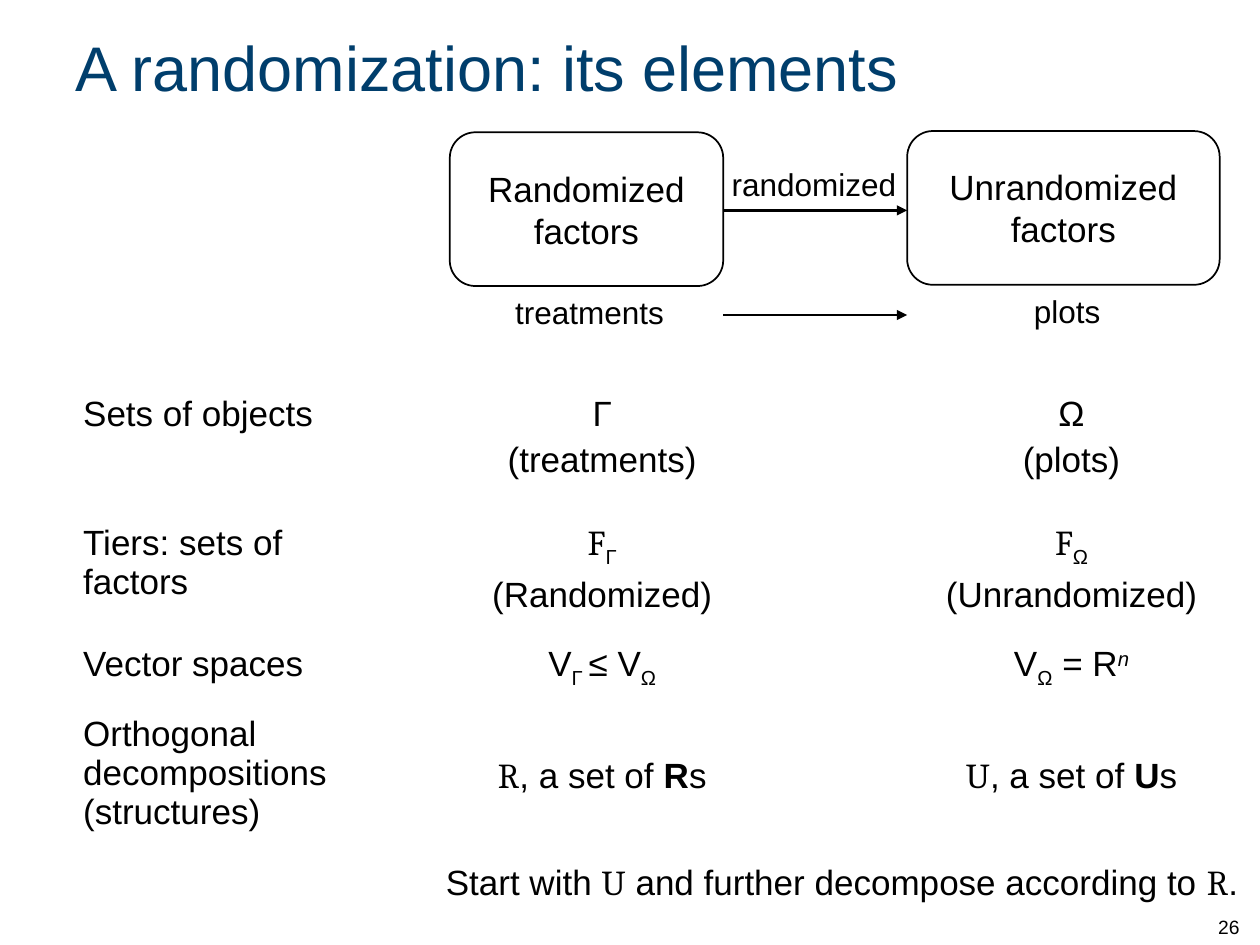
from lxml import etree
from pptx import Presentation
from pptx.dml.color import RGBColor
from pptx.enum.shapes import MSO_CONNECTOR, MSO_SHAPE
from pptx.enum.text import MSO_ANCHOR, PP_ALIGN
from pptx.oxml.ns import qn
from pptx.util import Emu, Pt

LEFT, CENTER = PP_ALIGN.LEFT, PP_ALIGN.CENTER
TOP, MIDDLE, BOTTOM = MSO_ANCHOR.TOP, MSO_ANCHOR.MIDDLE, MSO_ANCHOR.BOTTOM
ROUNDED, STRAIGHT = MSO_SHAPE.ROUNDED_RECTANGLE, MSO_CONNECTOR.STRAIGHT
BLACK = RGBColor(0x00, 0x00, 0x00)
NAVY = RGBColor(0x00, 0x3E, 0x6C)
PX = 9144
BODY_FONT, SYMBOL_FONT = "Arial", "Cambria"

TITLE = "A randomization: its elements"
FACTOR_BOXES = [
    ("Randomized\vfactors", (357, 105, 217, 122)),
    ("Unrandomized\vfactors", (720, 104, 248, 122)),
]
ARROWS = [(574, 720, 167), (574, 720, 250)]
LABELS = [
    ("randomized", (531, 126, 230, 40)),
    ("treatments", (353, 228, 230, 40)),
    ("plots", (732, 227, 230, 40)),
]
COLUMN_WIDTHS = [269, 306, 70, 299]
TABLE_LEFT = 56
ELEMENTS = [
    (308, 94, TOP, "Sets of objects",
     [[("Γ", "")], [("(treatments)", "")]],
     [[("Ω", "")], [("(plots)", "")]]),
    (411, 92, TOP, "Tiers: sets of factors",
     [[("F", "symbol"), ("Γ", "sub")], [("(Randomized)", "")]],
     [[("F", "symbol"), ("Ω", "sub")], [("(Unrandomized)", "")]]),
    (507, 59, TOP, "Vector spaces",
     [[("V", ""), ("Γ ", "sub"), ("≤ V", ""), ("Ω", "sub")]],
     [[("V", ""), ("Ω", "sub"), (" = R", ""), ("n", "power")]]),
    (562, 110, MIDDLE, "Orthogonal decompositions\v(structures)",
     [[("R", "symbol"), (", a set of ", ""), ("R", "bold"), ("s", "")]],
     [[("U", "symbol"), (", a set of ", ""), ("U", "bold"), ("s", "")]]),
]
CONCLUSION = [("Start with ", ""), ("U", "symbol"),
              (" and further decompose according to ", ""), ("R", "symbol"), (".", "")]
BASELINES = {"sub": "-25000", "power": "30000"}


def px(*lengths):
    return [Emu(length * PX) for length in lengths]


def style_font(font, size, color=BLACK, name=BODY_FONT):
    font.size, font.name = Pt(size), name
    font.color.rgb = color


def write(frame, paragraphs, size, align=LEFT):
    for index, pieces in enumerate(paragraphs):
        paragraph = frame.add_paragraph() if index else frame.paragraphs[0]
        paragraph.alignment = align
        if index:
            paragraph.space_before = Pt(4)
        for text, style in pieces:
            run = paragraph.add_run()
            run.text = text
            style_font(run.font, size,
                       name=SYMBOL_FONT if style == "symbol" else BODY_FONT)
            run.font.bold = style == "bold"
            run.font.italic = style == "power"
            if style in BASELINES:
                run._r.get_or_add_rPr().set("baseline", BASELINES[style])


def write_plain(frame, text, size, align=LEFT, color=BLACK):
    frame.text = text
    paragraph = frame.paragraphs[0]
    paragraph.alignment = align
    for run in paragraph.runs:
        style_font(run.font, size, color)


def add_text_frame(box, anchor=TOP):
    frame = slide.shapes.add_textbox(*px(*box)).text_frame
    frame.word_wrap = True
    frame.vertical_anchor = anchor
    return frame


def add_element_table(top, height, anchor, heading, randomized, unrandomized):
    table = slide.shapes.add_table(
        1, len(COLUMN_WIDTHS), *px(TABLE_LEFT, top, sum(COLUMN_WIDTHS), height)).table
    table.first_row = table.horz_banding = False
    for column, width in zip(table.columns, px(*COLUMN_WIDTHS)):
        column.width = width
    for cell in table.rows[0].cells:
        cell.fill.background()
    write_plain(table.cell(0, 0).text_frame, heading, 20)
    for column, paragraphs in ((1, randomized), (3, unrandomized)):
        cell = table.cell(0, column)
        cell.vertical_anchor = anchor
        write(cell.text_frame, paragraphs, 20, CENTER)


def add_factor_box(text, box):
    shape = slide.shapes.add_shape(ROUNDED, *px(*box))
    shape.shadow.inherit = False
    shape.fill.background()
    shape.line.color.rgb = BLACK
    shape.line.width = Pt(1)
    shape.text_frame.vertical_anchor = MIDDLE
    write_plain(shape.text_frame, text, 20, CENTER)


def add_arrow(start, end, y):
    arrow = slide.shapes.add_connector(STRAIGHT, *px(start, y, end, y))
    arrow.line.color.rgb = BLACK
    arrow.line.width = Pt(1.5)
    etree.SubElement(arrow.line._get_or_add_ln(), qn("a:tailEnd"), type="triangle")
    etree.SubElement(arrow._element.spPr, qn("a:effectLst"))


prs = Presentation()
prs.slide_width, prs.slide_height = px(1000, 750)
slide = prs.slides.add_slide(prs.slide_layouts[5])

title = slide.shapes.title
title.left, title.top, title.width, title.height = px(50, 8, 900, 90)
title.text_frame.vertical_anchor = MIDDLE
write_plain(title.text_frame, TITLE, 36, color=NAVY)

for element in ELEMENTS:
    add_element_table(*element)
for text, box in FACTOR_BOXES:
    add_factor_box(text, box)
for arrow in ARROWS:
    add_arrow(*arrow)
for text, box in LABELS:
    write_plain(add_text_frame(box), text, 18, CENTER)

write(add_text_frame((344, 678, 663, 43)), [CONCLUSION], 20)
write_plain(add_text_frame((957, 700, 42, 50), BOTTOM), "26", 11)

prs.save("out.pptx")
